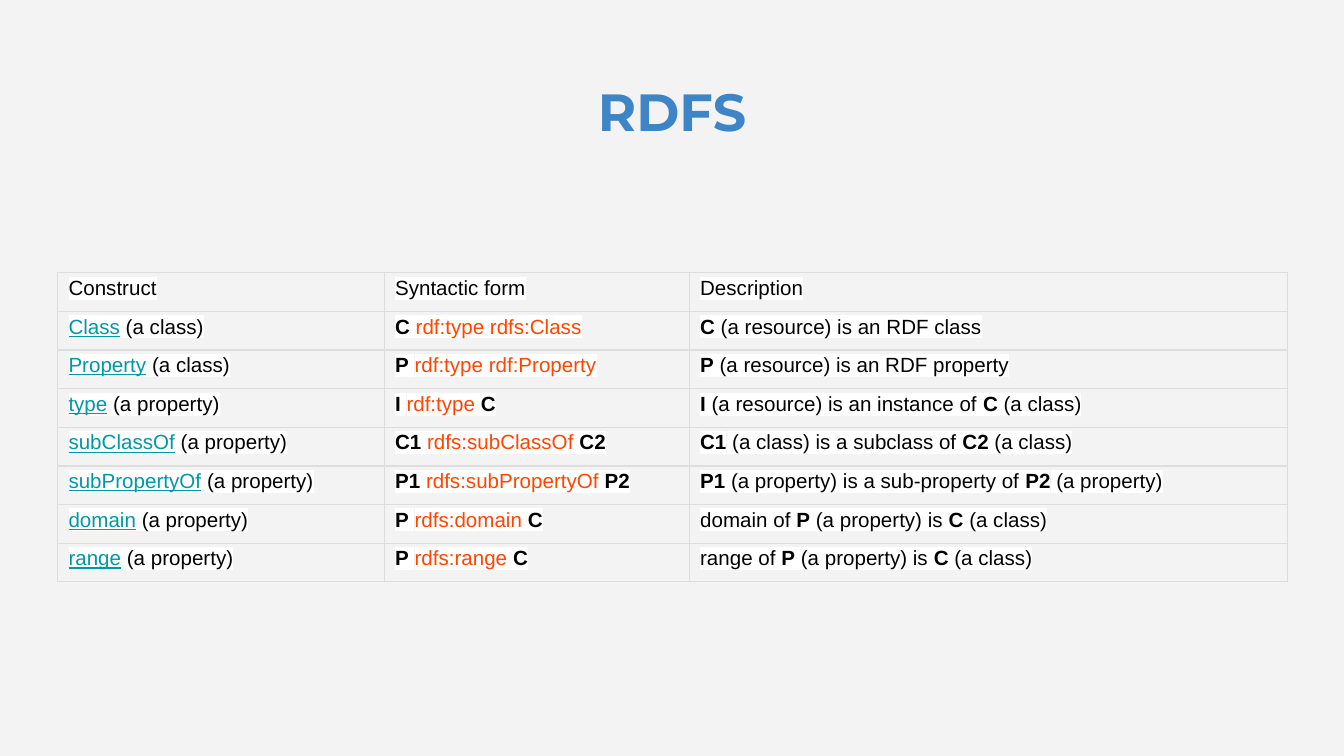
from lxml.etree import SubElement
from pptx import Presentation
from pptx.dml.color import RGBColor
from pptx.enum.text import PP_ALIGN, MSO_ANCHOR
from pptx.oxml import parse_xml
from pptx.oxml.ns import nsdecls, qn
from pptx.util import Inches, Pt

COLOURS = {
    "background": "F3F3F3",
    "title": "3D85C6",
    "text": "000000",
    "term": "0097A7",
    "predicate": "FF4500",
    "cell": "FFFFFF",
    "highlight": "FFFFFF",
    "border": "DDDDDD",
}
HEADINGS = ["Construct", "Syntactic form", "Description"]
# Term, its kind, (subject, predicate, object), description with *bold* variables
CONSTRUCTS = [
    ("Class", "class", ("C", "rdf:type rdfs:Class", ""),
     "*C* (a resource) is an RDF class"),
    ("Property", "class", ("P", "rdf:type rdf:Property", ""),
     "*P* (a resource) is an RDF property"),
    ("type", "property", ("I", "rdf:type", "C"),
     "*I* (a resource) is an instance of *C* (a class)"),
    ("subClassOf", "property", ("C1", "rdfs:subClassOf", "C2"),
     "*C1* (a class) is a subclass of *C2* (a class)"),
    ("subPropertyOf", "property", ("P1", "rdfs:subPropertyOf", "P2"),
     "*P1* (a property) is a sub-property of *P2* (a property)"),
    ("domain", "property", ("P", "rdfs:domain", "C"),
     "domain of *P* (a property) is *C* (a class)"),
    ("range", "property", ("P", "rdfs:range", "C"),
     "range of *P* (a property) is *C* (a class)"),
]


def term_spans(term, kind):
    return [(term, "term"), (f" (a {kind})", "plain")]


def form_spans(subject, predicate, target):
    spans = [(subject, "bold"), (" ", "plain"), (predicate, "predicate")]
    if target:
        spans += [(" ", "plain"), (target, "bold")]
    return spans


def description_spans(text):
    """Split at asterisks: every second piece is bold."""
    pieces = enumerate(text.split("*"))
    return [(piece, "bold" if i % 2 else "plain") for i, piece in pieces if piece]


class SlideBuilder:
    """Holds the style and the current slide."""

    title_font, body_font = "Montserrat", "Arial"
    title_size, body_size = Pt(28), Pt(11)

    def __init__(self, deck):
        self.page = deck.slides.add_slide(deck.slide_layouts[6])
        fill = self.page.background.fill
        fill.solid()
        fill.fore_color.rgb = RGBColor.from_string(COLOURS["background"])

    def add_span(self, para, text, font_name, size, colour, bold=False):
        span = para.add_run()
        span.text = text
        span.font.name = font_name
        span.font.size = size
        span.font.bold = bold
        span.font.color.rgb = RGBColor.from_string(COLOURS[colour])
        return span

    def add_title(self, text, left, top, width, height):
        box = self.page.shapes.add_textbox(
            Inches(left), Inches(top), Inches(width), Inches(height))
        frame = box.text_frame
        frame.word_wrap = True
        frame.vertical_anchor = MSO_ANCHOR.TOP
        frame.margin_left = frame.margin_right = Inches(0.1)
        frame.margin_top = frame.margin_bottom = Inches(0.1)
        para = frame.paragraphs[0]
        para.alignment = PP_ALIGN.CENTER
        self.add_span(para, text, self.title_font, self.title_size, "title", True)

    def add_table(self, rows, left, top, widths, height):
        table = self.page.shapes.add_table(
            len(rows), len(widths), Inches(left), Inches(top),
            Inches(sum(widths)), Inches(height)).table
        table.first_row = table.horz_banding = False
        for column, width in zip(table.columns, widths):
            column.width = Inches(width)
        for r, row in enumerate(rows):
            for c, spans in enumerate(row):
                self.fill_cell(table.cell(r, c), spans)

    def fill_cell(self, cell, spans):
        cell.margin_left = cell.margin_right = Inches(0.08)
        cell.margin_top = cell.margin_bottom = Inches(0.03)
        self.add_borders(cell)
        self.add_clear_fill(cell)
        para = cell.text_frame.paragraphs[0]
        for text, style in spans:
            colour = style if style in COLOURS else "text"
            span = self.add_span(para, text, self.body_font, self.body_size,
                                 colour, style == "bold")
            span.font.underline = style == "term"
            self.add_highlight(span)

    def add_clear_fill(self, cell):
        """Fill the cell with a fully transparent colour."""
        cell.fill.solid()
        cell.fill.fore_color.rgb = RGBColor.from_string(COLOURS["cell"])
        colour = cell._tc.tcPr.find(qn("a:solidFill")).find(qn("a:srgbClr"))
        SubElement(colour, qn("a:alpha"), val="0")

    def add_highlight(self, span):
        highlight = parse_xml(f"<a:highlight {nsdecls('a')}/>")
        SubElement(highlight, qn("a:srgbClr"), val=COLOURS["highlight"])
        span.font._element.find(qn("a:solidFill")).addnext(highlight)

    def add_borders(self, cell):
        properties = cell._tc.get_or_add_tcPr()
        for side in ("lnL", "lnR", "lnT", "lnB"):
            line = SubElement(properties, qn(f"a:{side}"), w=str(Pt(0.75)))
            fill = SubElement(line, qn("a:solidFill"))
            SubElement(fill, qn("a:srgbClr"), val=COLOURS["border"])


def main():
    deck = Presentation()
    deck.slide_width = Inches(10)
    deck.slide_height = deck.slide_width * 9 // 16
    slide = SlideBuilder(deck)
    slide.add_title("RDFS", 0.34, 0.49, 9.32, 0.63)
    rows = [[[(heading, "plain")] for heading in HEADINGS]]
    for term, kind, form, description in CONSTRUCTS:
        rows.append([term_spans(term, kind), form_spans(*form),
                     description_spans(description)])
    slide.add_table(rows, 0.43, 2.03, [2.43, 2.27, 4.45], 2.3)
    deck.save("out.pptx")


if __name__ == "__main__":
    main()
